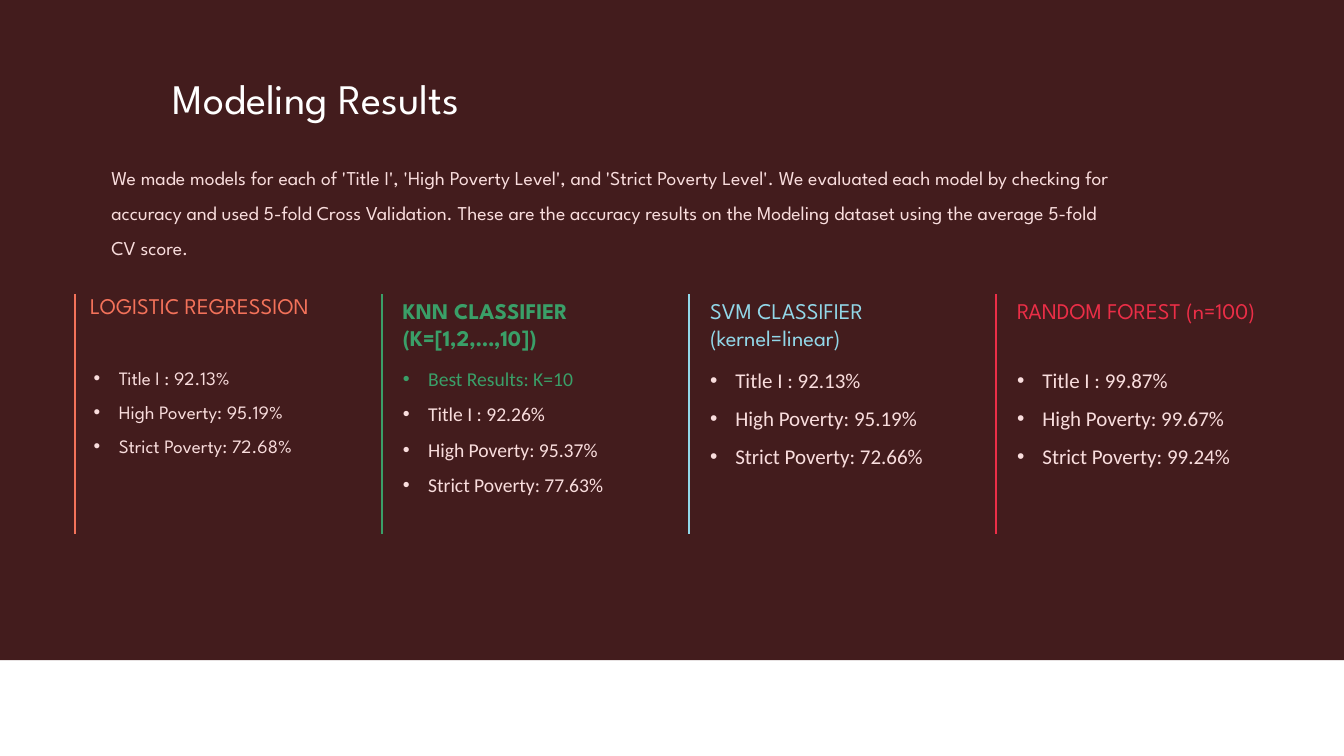
from dataclasses import dataclass

from lxml.etree import SubElement
from pptx import Presentation
from pptx.dml.color import RGBColor
from pptx.enum.shapes import MSO_CONNECTOR as Connector, MSO_SHAPE as Shape
from pptx.enum.text import MSO_ANCHOR as Anchor, MSO_AUTO_SIZE as AutoSize, PP_ALIGN as Align
from pptx.oxml.ns import qn
from pptx.util import Cm, Pt


@dataclass(frozen=True)
class Theme:
    panel: str = "431C1D"
    title: str = "FFFFFF"
    text: str = "F9DDDD"
    logistic: str = "F3725A"
    knn: str = "3A9F68"
    svm: str = "92D7E8"
    forest: str = "EB2E47"
    display: str = "League Spartan"
    plain: str = "Calibri"
    title_size: int = 60
    intro_size: int = 28
    heading_size: int = 32
    rule_width: int = 3


THEME = Theme()


@dataclass
class Model:
    heading: str
    color: str
    scores: tuple
    font: str = THEME.plain
    size: int = 30
    best: str = ""
    bold: bool = False
    heading_at: tuple = (0.8, 0)  # offset from the rule, cm
    heading_width: float = 12.85
    list_left: float = 0.8
    list_width: float = 12.07


MODELS = [
    Model("LOGISTIC REGRESSION", THEME.logistic, (92.13, 95.19, 72.68),
          font=THEME.display, size=27, heading_at=(0.51, -0.23),
          heading_width=14.73, list_left=0.69),
    Model("KNN CLASSIFIER (K=[1,2,…,10])", THEME.knn, (92.26, 95.37, 77.63),
          size=28, best="Best Results: K=10", bold=True,
          heading_width=13.16, list_width=13.79),
    Model("SVM CLASSIFIER (kernel=linear)", THEME.svm, (92.13, 95.19, 72.66)),
    Model("RANDOM FOREST (n=100)", THEME.forest, (99.87, 99.67, 99.24)),
]
TARGETS = ("Title I :", "High Poverty:", "Strict Poverty:")
INTRO = (
    "We made models for each of 'Title I', 'High Poverty Level', and 'Strict Poverty Level'. "
    "We evaluated each model by checking for accuracy and used 5-fold Cross Validation. "
    "These are the accuracy results on the Modeling dataset using the average 5-fold CV score."
)


def apply(target, **values):
    for name, value in values.items():
        setattr(target, name, value)


def place(shape, left, top, width, height):
    apply(shape, left=Cm(left), top=Cm(top), width=Cm(width), height=Cm(height))


def set_bullet(para, color=None):
    """Hanging bullet in the given colour, or no bullet at all."""
    props = para._p.get_or_add_pPr()
    indent = Cm(1.27) if color else 0
    props.set("marL", str(int(indent)))
    props.set("indent", str(-int(indent)))
    if color:
        tint = SubElement(SubElement(props, qn("a:buClr")), qn("a:srgbClr"))
        tint.set("val", color)
        SubElement(props, qn("a:buFont")).set("typeface", "Arial")
        SubElement(props, qn("a:buChar")).set("char", "•")
    else:
        SubElement(props, qn("a:buNone"))


def write(shape, lines, font, size, spacing=1.0, bold=False, bullets=False,
          auto_size=AutoSize.SHAPE_TO_FIT_TEXT):
    """Fill a shape with (text, colour) lines, one paragraph each."""
    frame = shape.text_frame
    apply(frame, word_wrap=True, auto_size=auto_size, vertical_anchor=Anchor.TOP)
    for index, (text, color) in enumerate(lines):
        para = frame.add_paragraph() if index else frame.paragraphs[0]
        apply(para, alignment=Align.LEFT, line_spacing=spacing, space_before=Pt(0))
        set_bullet(para, color if bullets else None)
        span = para.add_run()
        span.text = text
        apply(span.font, name=font, size=Pt(size), bold=bold)
        span.font.color.rgb = RGBColor.from_string(color)


def add_text(page, box, *args, **options):
    shape = page.shapes.add_textbox(0, 0, 0, 0)
    place(shape, *box)
    write(shape, *args, **options)


def add_panel(page, box):
    panel = page.shapes.add_shape(Shape.RECTANGLE, 0, 0, 0, 0)
    place(panel, *box)
    panel.shadow.inherit = False
    panel.fill.solid()
    panel.fill.fore_color.rgb = RGBColor.from_string(THEME.panel)
    panel.line.fill.background()
    page.shapes.title.element.addprevious(panel.element)  # behind the text


def add_header(page, box):
    left, top, width, _ = box
    title, body = page.placeholders
    place(title, left + 3.1, top, width, 3.18)
    write(title, [("Modeling Results", THEME.title)], THEME.display,
          THEME.title_size, spacing=0.9, auto_size=AutoSize.NONE)
    place(body, left, top + 3.81, width, 4.19)
    write(body, [(INTRO, THEME.text)], THEME.display,
          THEME.intro_size, spacing=1.5, auto_size=AutoSize.NONE)


def add_model(page, box, model):
    left, top, _, height = box
    # Coloured rule on the left edge
    rule = page.shapes.add_connector(
        Connector.STRAIGHT, Cm(left), Cm(top), Cm(left), Cm(top + height))
    rule.line.color.rgb = RGBColor.from_string(model.color)
    rule.line.width = Pt(THEME.rule_width)
    SubElement(rule.element.spPr, qn("a:effectLst"))
    # Heading
    shift, drop = model.heading_at
    add_text(page, (left + shift, top + drop, model.heading_width, 3),
             [(model.heading, model.color)], THEME.display,
             THEME.heading_size, bold=model.bold)
    # Accuracy list
    lines = [(model.best, model.color)] if model.best else []
    lines += [(f"{target} {score:.2f}%", THEME.text)
              for target, score in zip(TARGETS, model.scores)]
    add_text(page, (left + model.list_left, top + 2.95, model.list_width, 5.82),
             lines, model.font, model.size, spacing=1.5, bullets=True)


def add_models(page, box):
    left, top, width, height = box
    pitch = width / len(MODELS)
    for index, model in enumerate(MODELS):
        add_model(page, (left + index * pitch, top, pitch, height), model)


def main():
    deck = Presentation()
    apply(deck, slide_width=Cm(67.74), slide_height=Cm(38.1))
    page = deck.slides.add_slide(deck.slide_layouts[1])
    add_panel(page, (0, 0, 67.74, 33.27))
    add_header(page, (5.36, 3.81, 50.8, 8))
    add_models(page, (3.78, 14.83, 61.92, 12.07))
    deck.save("out.pptx")


if __name__ == "__main__":
    main()
